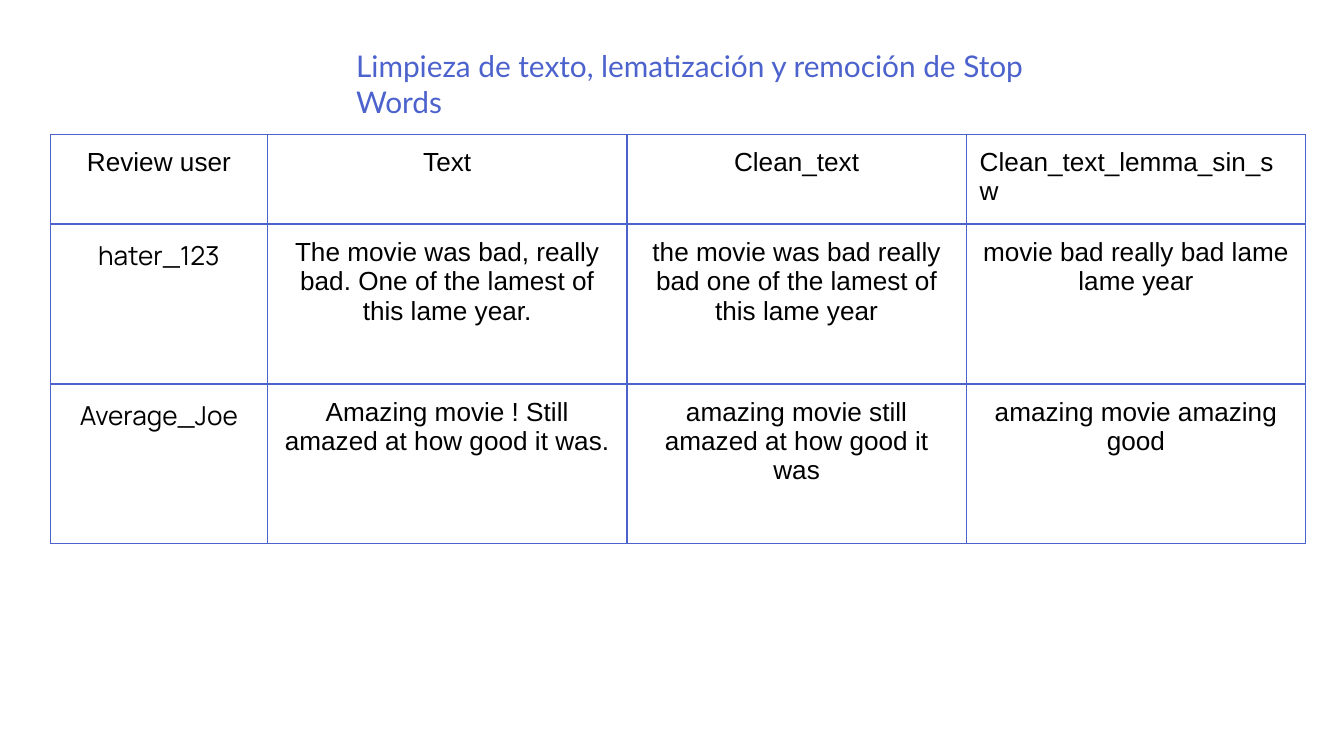
from lxml import etree
from pptx import Presentation
from pptx import util as u
from pptx.dml.color import RGBColor
from pptx.enum import text
from pptx.oxml.ns import qn

PX = 4572
COLORS = {"accent": "4C62CC", "ink": "000000", "paper": "FFFFFF"}
MARGINS = dict.fromkeys(
    ("margin_left", "margin_top", "margin_right", "margin_bottom"), 20 * PX
)
COLUMN_WIDTHS = (323, 535, 505, 505)
ROW_HEIGHTS = (114, 238, 238)
REVIEWS = (
    ("Review user", "Text", "Clean_text", "Clean_text_lemma_sin_sw"),
    (
        "hater_123",
        "The movie was bad, really bad. One of the lamest of this lame year.",
        "the movie was bad really bad one of the lamest of this lame year",
        "movie bad really bad lame lame year",
    ),
    (
        "Average_Joe",
        "Amazing movie ! Still amazed at how good it was.",
        "amazing movie still amazed at how good it was",
        "amazing movie amazing good",
    ),
)


def apply(target, values):
    """Set each attribute named in values on target."""
    for name, value in values.items():
        setattr(target, name, value)


def write(frame, wording, font, size, color, align):
    """Put one formatted paragraph in a text frame."""
    paragraph = frame.paragraphs[0]
    paragraph.alignment = align
    run = paragraph.add_run()
    run.text = wording
    apply(run.font, {"name": font, "size": u.Pt(size)})
    run.font.color.rgb = RGBColor.from_string(COLORS[color])


def add_title(slide, wording):
    """Place and format the slide title."""
    title = slide.shapes.title
    apply(title, {"left": 510 * PX, "top": 51 * PX, "width": 1168 * PX, "height": 94 * PX})
    apply(title.text_frame, {
        **MARGINS,
        "word_wrap": True,
        "vertical_anchor": text.MSO_ANCHOR.TOP,
        "auto_size": text.MSO_AUTO_SIZE.SHAPE_TO_FIT_TEXT,
    })
    write(title.text_frame, wording, "Lato", 16, "accent", text.PP_ALIGN.LEFT)


def add_borders(cell):
    """Draw thin accent lines on all four sides of a cell."""
    properties = cell._tc.get_or_add_tcPr()
    for side in ("lnL", "lnR", "lnT", "lnB"):
        line = etree.SubElement(properties, qn(f"a:{side}"), w=str(u.Pt(0.75)))
        fill = etree.SubElement(line, qn("a:solidFill"))
        etree.SubElement(fill, qn("a:srgbClr"), val=COLORS["accent"])


def format_cell(cell, wording, font, align):
    """Fill, outline and write one table cell."""
    apply(cell, {**MARGINS, "vertical_anchor": text.MSO_ANCHOR.TOP})
    add_borders(cell)
    cell.fill.solid()
    cell.fill.fore_color.rgb = RGBColor.from_string(COLORS["paper"])
    write(cell.text_frame, wording, font, 14, "ink", align)


def add_reviews(slide):
    """Add the table of reviews and their cleaned versions."""
    table = slide.shapes.add_table(
        len(ROW_HEIGHTS), len(COLUMN_WIDTHS), 75 * PX, 200 * PX,
        sum(COLUMN_WIDTHS) * PX, sum(ROW_HEIGHTS) * PX,
    ).table
    apply(table, {"first_row": False, "horz_banding": False})
    for column, width in zip(table.columns, COLUMN_WIDTHS):
        column.width = width * PX
    for row, height in zip(table.rows, ROW_HEIGHTS):
        row.height = height * PX
    last = len(COLUMN_WIDTHS) - 1
    for r, review in enumerate(REVIEWS):
        for c, wording in enumerate(review):
            font = "Manrope" if r > 0 and c == 0 else "Arial"
            long_header = r == 0 and c == last
            align = text.PP_ALIGN.LEFT if long_header else text.PP_ALIGN.CENTER
            format_cell(table.cell(r, c), wording, font, align)


def main():
    """Build and save the slide."""
    deck = Presentation()
    apply(deck, {"slide_width": 2000 * PX, "slide_height": 1125 * PX})
    slide = deck.slides.add_slide(deck.slide_layouts[5])
    add_title(slide, "Limpieza de texto, lematización y remoción de Stop Words")
    add_reviews(slide)
    deck.save("out.pptx")


if __name__ == "__main__":
    main()
